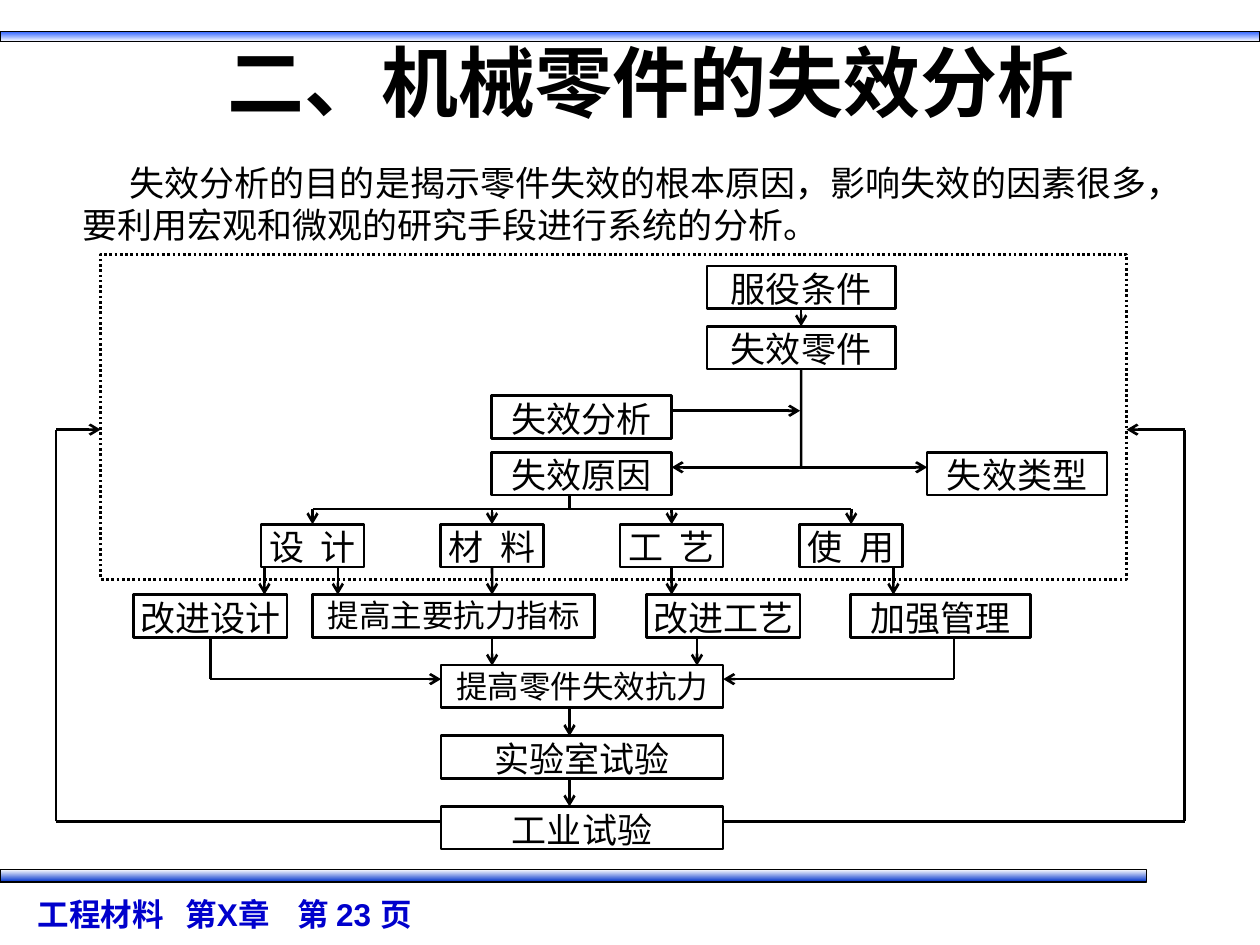
from lxml import etree
from pptx import Presentation
from pptx import util as u
from pptx.dml.color import RGBColor
from pptx.enum import dml, shapes, text
from pptx.oxml.ns import qn


def colour(value):
    return RGBColor.from_string(value)


deck = Presentation()
deck.slide_width, deck.slide_height = u.Cm(25.4), u.Cm(19.05)
page = deck.slides.add_slide(deck.slide_layouts[1])


def draw_line(x1, y1, x2, y2, arrows="", above=None, below=None):
    """Draw a line; arrows may hold "start" and "end", boxes join at bottom or top."""
    line = page.shapes.add_connector(
        shapes.MSO_CONNECTOR.STRAIGHT, u.Cm(x1), u.Cm(y1), u.Cm(x2), u.Cm(y2))
    if above is not None:
        line.begin_connect(above, 2)
    if below is not None:
        line.end_connect(below, 0)
    line.line.color.rgb = colour("000000")
    line.line.width = u.Pt(1.5)
    for word, tag in (("start", "a:headEnd"), ("end", "a:tailEnd")):
        if word in arrows:
            etree.SubElement(line.line._get_or_add_ln(), qn(tag), type="arrow")
    etree.SubElement(line._element.spPr, qn("a:effectLst"))


# Gradient bars at head and foot
for top, width, height, first, last in (
        (0.64, 25.4, 0.2, "3366FF", "FFFFFF"),
        (17.53, 23.11, 0.25, "FFFFFF", "0033CC")):
    bar = page.shapes.add_shape(
        shapes.MSO_SHAPE.RECTANGLE, 0, u.Cm(top), u.Cm(width), u.Cm(height))
    bar.shadow.inherit = False
    bar.fill.gradient()
    bar.fill.gradient_angle = 270
    for stop, shade in zip(bar.fill.gradient_stops, (first, last)):
        stop.color.rgb = colour(shade)
    bar.line.color.rgb = colour("000000")
    bar.line.width = u.Pt(0.75)

# Footer
footer = page.shapes.add_textbox(u.Cm(0.51), u.Cm(17.91), u.Cm(16.2), u.Cm(1.02))
footer.text_frame.word_wrap = True
para = footer.text_frame.paragraphs[0]
para.text = "工程材料\t第X章\t第 23 页"
tabs = etree.SubElement(para._p.get_or_add_pPr(), qn("a:tabLst"))
for position in (2.98, 5.24):
    etree.SubElement(tabs, qn("a:tab"), pos=str(u.Cm(position)), algn="l")
para.font.size = u.Pt(18)
para.font.name = "Arial"
para.font.bold = True
para.font.color.rgb = colour("0000CC")

# Title
title = page.shapes.title
title.left, title.top, title.width, title.height = (
    u.Cm(4.17), u.Cm(0.58), u.Cm(17.93), u.Cm(2.11))
title.text_frame.text = "二、机械零件的失效分析"
title.text_frame.vertical_anchor = text.MSO_ANCHOR.MIDDLE
para = title.text_frame.paragraphs[0]
para.alignment = text.PP_ALIGN.CENTER
para.font.size = u.Pt(44)
para.font.name = "Noto Sans CJK JP"
para.font.bold = True
para.font.color.rgb = colour("000000")

# Introduction
body = page.placeholders[1]
body.left, body.top, body.width, body.height = (
    u.Cm(1.4), u.Cm(3.12), u.Cm(24.69 - 1.4 + 1.4), u.Cm(1.96))
body.width = u.Cm(23.03)
body.text_frame.text = (
    "失效分析的目的是揭示零件失效的根本原因，影响失效的因素很多，"
    "要利用宏观和微观的研究手段进行系统的分析。")
para = body.text_frame.paragraphs[0]
para.space_before = u.Pt(0)
layout = para._p.get_or_add_pPr()
layout.set("marL", "0")
layout.set("indent", str(u.Cm(0.96)))
etree.SubElement(layout, qn("a:buNone"))
para.font.size = u.Pt(20)
para.font.name = "Arial"
para.font.color.rgb = colour("000000")

# Dotted frame around the analysis stage
frame = page.shapes.add_shape(
    shapes.MSO_SHAPE.RECTANGLE, u.Cm(2.03), u.Cm(5.13), u.Cm(20.68), u.Cm(6.55))
frame.shadow.inherit = False
frame.fill.background()
frame.line.color.rgb = colour("000000")
frame.line.width = u.Pt(1.5)
frame.line.dash_style = dml.MSO_LINE.ROUND_DOT

# Flow chart boxes: label, left, top, width, text size
factors = ["设 计", "材 料", "工 艺", "使 用"]
steps = [
    ("服役条件", 14.25, 5.36, 3.8, 20),
    ("失效零件", 14.25, 6.58, 3.8, 20),
    ("失效分析", 9.91, 7.98, 3.63, 20),
    ("失效原因", 9.91, 9.12, 3.63, 20),
    ("失效类型", 18.69, 9.12, 3.63, 20),
    ("改进设计", 2.69, 11.99, 3.1, 20),
    ("提高主要抗力指标", 6.3, 11.99, 5.69, 18),
    ("改进工艺", 13.03, 11.99, 3.1, 20),
    ("加强管理", 17.15, 11.99, 3.63, 20),
    ("提高零件失效抗力", 8.89, 13.41, 5.69, 18),
    ("实验室试验", 8.89, 14.83, 5.69, 20),
    ("工业试验", 8.89, 16.26, 5.69, 20),
]
steps += [(label, 5.26 + 3.62 * i, 10.57, 2.08, 20) for i, label in enumerate(factors)]
boxes = {}
for label, left, top, width, size in steps:
    box = page.shapes.add_shape(
        shapes.MSO_SHAPE.RECTANGLE, u.Cm(left), u.Cm(top), u.Cm(width), u.Cm(0.86))
    box.shadow.inherit = False
    box.fill.background()
    box.line.color.rgb = colour("000000")
    box.line.width = u.Pt(1.5)
    words = box.text_frame
    words.margin_left = words.margin_right = u.Cm(0.03)
    words.margin_top = words.margin_bottom = u.Cm(0.03)
    words.vertical_anchor = text.MSO_ANCHOR.TOP
    para = words.paragraphs[0]
    span = para.add_run()
    span.text = label
    if label in factors:
        span._r.get_or_add_rPr().set("spc", "250")
    para.alignment = text.PP_ALIGN.CENTER
    para.font.size = u.Pt(size)
    para.font.name = "Times New Roman"
    para.font.color.rgb = colour("000000")
    boxes[label] = box

# From service conditions to causes and types
draw_line(16.15, 6.22, 16.15, 6.58, "end", boxes["服役条件"], boxes["失效零件"])
draw_line(16.15, 7.44, 16.15, 9.42, above=boxes["失效零件"])
draw_line(13.54, 8.28, 16.13, 8.28, "end")
draw_line(13.54, 9.42, 18.69, 9.42, "start end")

# Branches from the cause to the four factors
draw_line(11.48, 9.98, 11.48, 10.26)
draw_line(6.3, 10.26, 17.16, 10.26)
for i, label in enumerate(factors):
    x = 6.3 + 3.62 * i
    draw_line(x, 10.26, x, 10.57, "end", below=boxes[label])

# Factors to measures
for x in (5.33, 6.81, 18.01):
    draw_line(x, 11.43, x, 11.99, "end")
for x, label in ((9.92, "材 料"), (13.54, "工 艺")):
    draw_line(x, 11.43, x, 11.99, "end", above=boxes[label])

# Measures to higher resistance, then to the tests
for x, y in ((9.92, 12.85), (14.05, 12.85), (11.48, 14.27), (11.48, 15.69)):
    draw_line(x, y, x, y + 0.57, "end")
draw_line(4.24, 12.85, 4.24, 13.69, above=boxes["改进设计"])
draw_line(4.24, 13.69, 8.89, 13.69, "end")
draw_line(19.23, 12.85, 19.23, 13.69)
draw_line(19.23, 13.69, 14.58, 13.69, "end")

# Feedback loops from the industrial test to the frame
for box_side, outer, frame_side in ((8.89, 1.13, 2.03), (14.58, 23.88, 22.71)):
    draw_line(box_side, 16.56, outer, 16.56)
    draw_line(outer, 16.56, outer, 8.66)
    draw_line(outer, 8.66, frame_side, 8.66, "end")

deck.save("out.pptx")
